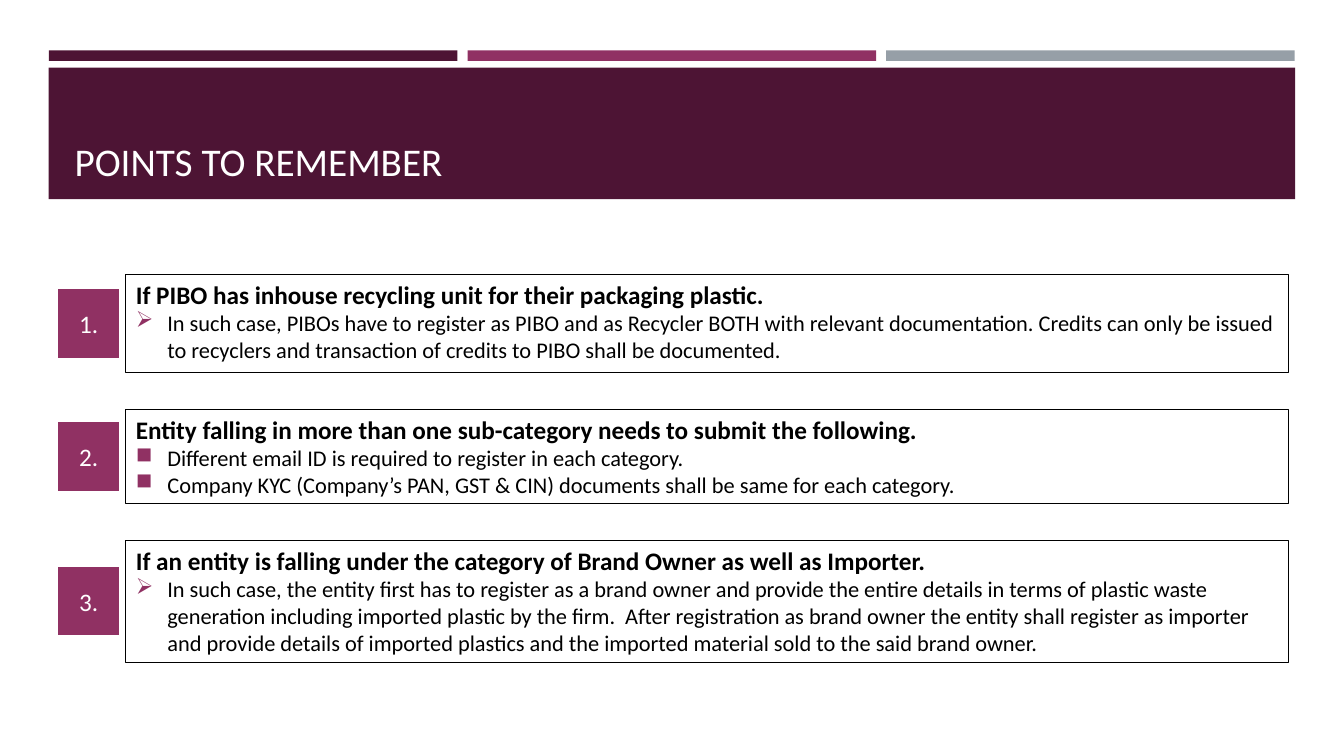
from lxml import etree
from pptx import Presentation
from pptx.dml.color import RGBColor
from pptx.enum import shapes, text
from pptx.oxml import ns
from pptx.util import Pt

PLUM = RGBColor(0x4D, 0x14, 0x34)
ROSE = RGBColor(0x90, 0x31, 0x63)
GREY = RGBColor(0x96, 0x9F, 0xA7)
WHITE = RGBColor(255, 255, 255)
BLACK = RGBColor(0, 0, 0)
FONT = "Calibri"

TITLE = "POINTS TO REMEMBER"
# heading, bullet sign, bullet lines, box height
POINTS = [
    ("If PIBO has inhouse recycling unit for their packaging plastic.", "➢", [
        "In such case, PIBOs have to register as PIBO and as Recycler BOTH with "
        "relevant documentation. Credits can only be issued to recyclers and "
        "transaction of credits to PIBO shall be documented.",
    ], 70.6),
    ("Entity falling in more than one sub-category needs to submit the following.", "■", [
        "Different email ID is required to register in each category.",
        "Company KYC (Company’s PAN, GST & CIN) documents shall be same for each category.",
    ], 67.7),
    ("If an entity is falling under the category of Brand Owner as well as Importer.", "➢", [
        "In such case, the entity first has to register as a brand owner and provide "
        "the entire details in terms of plastic waste generation including imported "
        "plastic by the firm.  After registration as brand owner the entity shall "
        "register as importer and provide details of imported plastics and the "
        "imported material sold to the said brand owner.",
    ], 87.1),
]

BARS = [PLUM, ROSE, GREY]
BAR_X, BAR_Y, BAR_W, BAR_H, BAR_STEP = 35, 36, 291.8, 7.6, 299
BOX_X, BOX_Y, BOX_W, BOX_GAP = 90, 195.8, 830.2, 25.9
TAG_X, TAG_W, TAG_H = 40.5, 45.5, 51
INDENT = 22.5


def add_rect(slide, x, y, w, h, fill=None, line=None, width=1):
    box = slide.shapes.add_shape(shapes.MSO_SHAPE.RECTANGLE, Pt(x), Pt(y), Pt(w), Pt(h))
    box.shadow.inherit = False
    if fill is None:
        box.fill.background()
    else:
        box.fill.solid()
        box.fill.fore_color.rgb = fill
    if line is None:
        box.line.fill.background()
    else:
        box.line.color.rgb = line
        box.line.width = Pt(width)
    return box


def write(para, words, size=18, color=BLACK, bold=False,
          align=text.PP_ALIGN.LEFT, sign=None):
    para.alignment = align
    run = para.add_run()
    run.text = words
    run.font.name = FONT
    run.font.size = Pt(size)
    run.font.bold = bold
    run.font.color.rgb = color
    if sign:
        props = para._p.get_or_add_pPr()
        props.set("marL", str(Pt(INDENT)))
        props.set("indent", str(-Pt(INDENT)))
        tint = etree.SubElement(props, ns.qn("a:buClr"))
        etree.SubElement(tint, ns.qn("a:srgbClr")).set("val", str(ROSE))
        etree.SubElement(props, ns.qn("a:buChar")).set("char", sign)


def add_head(slide):
    title = slide.shapes.title
    bands = [add_rect(slide, BAR_X + i * BAR_STEP, BAR_Y, BAR_W, BAR_H, fill=color)
             for i, color in enumerate(BARS)]
    bands.append(add_rect(slide, 34.8, 48.4, 890.4, 93.8, fill=PLUM))
    for band in bands:
        title.element.addprevious(band.element)  # keeps the title in front
    title.left, title.top, title.width, title.height = Pt(46.1), Pt(55.4), Pt(868.3), Pt(80)
    frame = title.text_frame
    frame.auto_size = text.MSO_AUTO_SIZE.NONE
    frame.vertical_anchor = text.MSO_ANCHOR.BOTTOM
    write(frame.paragraphs[0], TITLE, size=28, color=WHITE)


def add_point(slide, num, top, head, sign, lines, high):
    box = add_rect(slide, BOX_X, top, BOX_W, high, line=BLACK, width=0.75)
    frame = box.text_frame
    frame.word_wrap = True
    frame.vertical_anchor = text.MSO_ANCHOR.TOP
    write(frame.paragraphs[0], head, bold=True)
    for line in lines:
        write(frame.add_paragraph(), line, size=16, sign=sign)

    tag = add_rect(slide, TAG_X, top + (high - TAG_H) / 2, TAG_W, TAG_H,
                   fill=ROSE, line=WHITE, width=2)
    tag.text_frame.vertical_anchor = text.MSO_ANCHOR.MIDDLE
    write(tag.text_frame.paragraphs[0], f"{num}.", color=WHITE,
          align=text.PP_ALIGN.CENTER)


def main():
    deck = Presentation()
    deck.slide_width, deck.slide_height = Pt(960), Pt(540)
    slide = deck.slides.add_slide(deck.slide_layouts[5])
    add_head(slide)
    top = BOX_Y
    for num, (head, sign, lines, high) in enumerate(POINTS, 1):
        add_point(slide, num, top, head, sign, lines, high)
        top += high + BOX_GAP
    deck.save("out.pptx")


if __name__ == "__main__":
    main()
